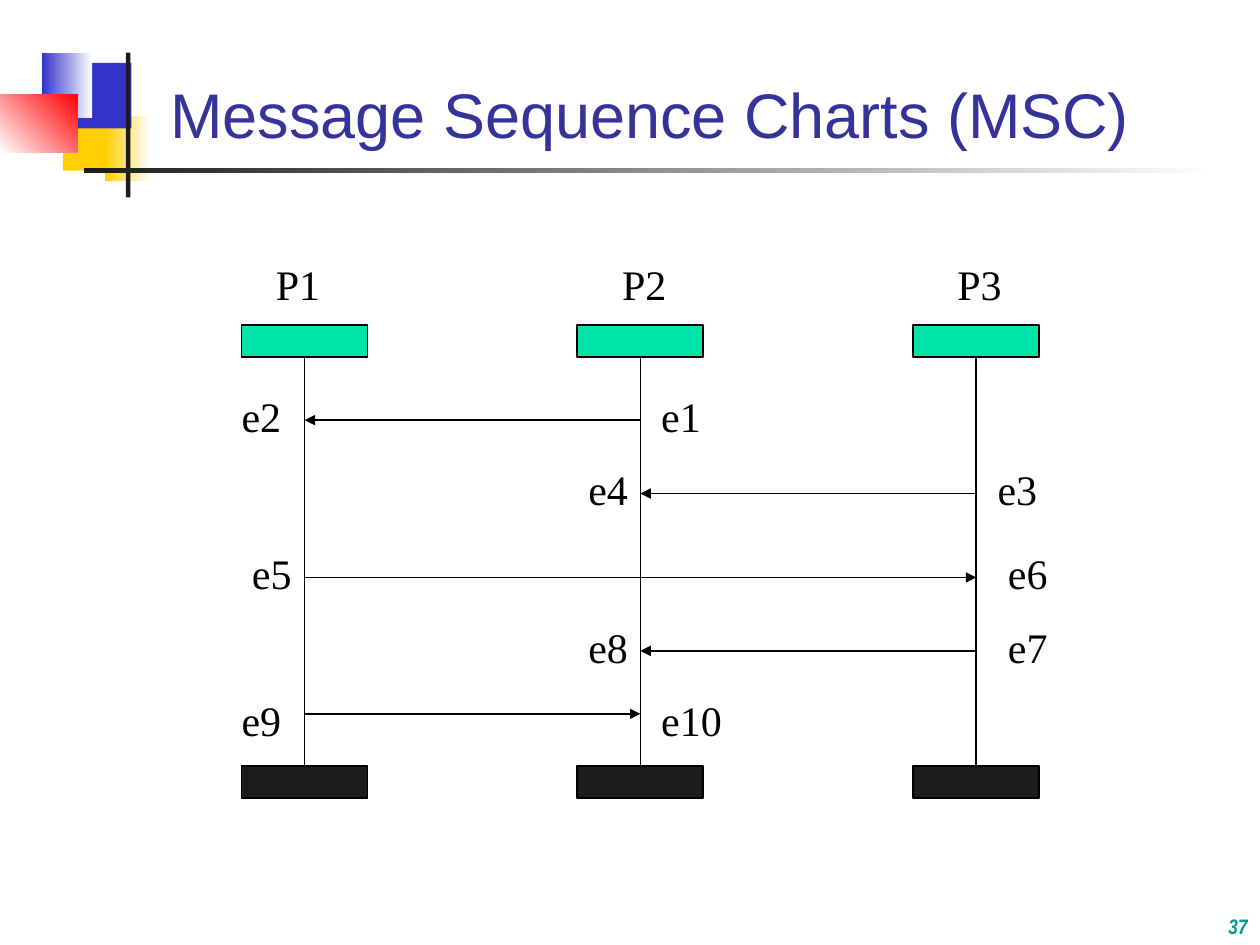
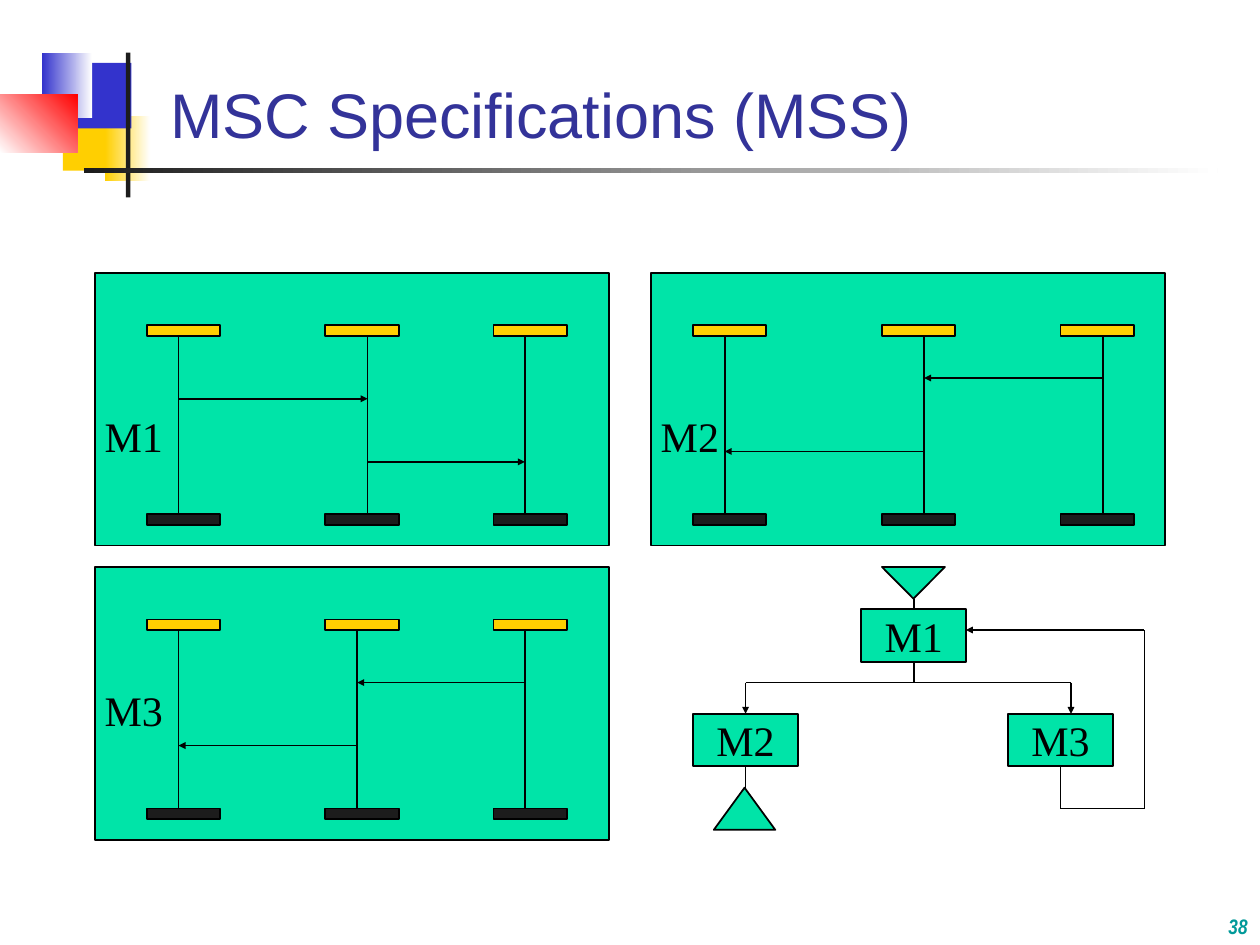
import itertools

import pptx
import pptx.dml.color
import pptx.enum.shapes
import pptx.enum.text
import pptx.oxml.ns
import pptx.util
from lxml import etree

Cm = pptx.util.Cm
RGBColor = pptx.dml.color.RGBColor
SHAPE = pptx.enum.shapes.MSO_SHAPE
ALIGN = pptx.enum.text.PP_ALIGN
ANCHOR = pptx.enum.text.MSO_ANCHOR

# Colours
BLACK = RGBColor(0x00, 0x00, 0x00)
WHITE = RGBColor(0xFF, 0xFF, 0xFF)
CHARCOAL = RGBColor(0x1C, 0x1C, 0x1C)
YELLOW = RGBColor(0xFF, 0xCF, 0x01)
BLUE = RGBColor(0x33, 0x33, 0xCC)
RED = RGBColor(0xFF, 0x00, 0x00)
GREEN = RGBColor(0x00, 0xE4, 0xA8)
TITLE_BLUE = RGBColor(0x33, 0x33, 0x99)
TEAL = RGBColor(0x00, 0x99, 0x99)


class Deck:
    """Holds the shared style and the current slide."""

    def __init__(self):
        self.prs = pptx.Presentation()
        self.prs.slide_width, self.prs.slide_height = Cm(25.4), Cm(19.05)
        self.s = None

    def new_slide(self, title, number):
        self.s = self.prs.slides.add_slide(self.prs.slide_layouts[6])
        # Corner ornament and title rule
        self.shape(1.27, 2.12, 1.23, 1.32, YELLOW, outline=False)
        self.gradient(2.12, 2.33, 0.91, 1.32, YELLOW, WHITE)
        self.shape(1.48, 1.27, 1.17, 1.32, BLUE, outline=False)
        self.gradient(0.85, 1.06, 1.01, 1.32, BLUE, WHITE)
        self.gradient(0, 1.9, 1.56, 1.18, WHITE, RED, angle=45)
        self.shape(2.54, 1.06, 0.09, 2.92, CHARCOAL, outline=False)
        self.gradient(1.69, 3.39, 22.86, 0.09, CHARCOAL, WHITE)
        # Slide number and title
        tf = self.text_box(21.17, 17.78, 4.23, 1.27, ANCHOR.BOTTOM)
        r = self.text_run(tf, str(number), 12, "Arial Narrow", TEAL, ALIGN.RIGHT)
        r.font.bold = r.font.italic = True
        tf = self.text_box(3.18, 0.85, 21.63, 2.33, ANCHOR.BOTTOM)
        self.text_run(tf, title, 36, "Arial", TITLE_BLUE)

    def shape(self, x, y, w, h, fill, kind=SHAPE.RECTANGLE, outline=True):
        sp = self.s.shapes.add_shape(kind, Cm(x), Cm(y), Cm(w), Cm(h))
        sp.shadow.inherit = False
        sp.fill.solid()
        sp.fill.fore_color.rgb = fill
        if outline:
            sp.line.color.rgb = BLACK
            sp.line.width = pptx.util.Pt(1)
        else:
            sp.line.fill.background()
        return sp

    def gradient(self, x, y, w, h, start, end, angle=0):
        sp = self.shape(x, y, w, h, start, outline=False)
        sp.fill.gradient()
        sp.fill.gradient_angle = angle
        for stop, colour in zip(sp.fill.gradient_stops, (start, end)):
            stop.color.rgb = colour

    def line(self, x1, y1, x2, y2, head=None):
        """Straight line; head is the arrowhead size at its end."""
        cx = self.s.shapes.add_connector(
            pptx.enum.shapes.MSO_CONNECTOR.STRAIGHT, Cm(x1), Cm(y1), Cm(x2), Cm(y2))
        cx.line.color.rgb = BLACK
        cx.line.width = pptx.util.Pt(1)
        props = cx.element.spPr
        if head:
            etree.SubElement(props.find(pptx.oxml.ns.qn("a:ln")),
                             pptx.oxml.ns.qn("a:tailEnd"),
                             type="triangle", w=head, len=head)
        etree.SubElement(props, pptx.oxml.ns.qn("a:effectLst"))

    def text_box(self, x, y, w, h, anchor=ANCHOR.TOP, wrap=True):
        tf = self.s.shapes.add_textbox(Cm(x), Cm(y), Cm(w), Cm(h)).text_frame
        tf.word_wrap = wrap
        tf.vertical_anchor = anchor
        return tf

    def text_run(self, tf, text, size, font, colour, align=ALIGN.LEFT):
        p = tf.paragraphs[0]
        p.alignment = align
        r = p.add_run()
        r.text = text
        r.font.size = pptx.util.Pt(size)
        r.font.name = font
        r.font.color.rgb = colour
        return r

    def label(self, text, x, y, w=1.3):
        tf = self.text_box(x, y, w, 1.27, wrap=False)
        self.text_run(tf, text, 24, "Times New Roman", BLACK)

    def node(self, text, x, y):
        tf = self.shape(x, y, 2.12, 1.06, GREEN).text_frame
        tf.word_wrap = False
        tf.vertical_anchor = ANCHOR.MIDDLE
        self.text_run(tf, text, 24, "Times New Roman", BLACK, ALIGN.CENTER)

    def process(self, bar_x, line_x, top, bar_w, bar_h, foot, fill):
        """Head bar, lifeline and foot bar of one process."""
        self.shape(bar_x, top, bar_w, bar_h, fill)
        self.shape(bar_x, foot, bar_w, bar_h, CHARCOAL)
        self.line(line_x, top + bar_h, line_x, foot)

    def panel(self, name, x, y, label_dy, bars, lifelines, messages):
        """Framed chart; messages are (sender, receiver, offset from the top)."""
        self.shape(x, y, 10.37, 5.5, GREEN)
        for bar_x, line_x in zip(bars, lifelines):
            self.process(bar_x, line_x, y + 1.06, 1.48, 0.21, y + 4.87, YELLOW)
        for sender, receiver, dy in messages:
            self.line(lifelines[sender], y + dy, lifelines[receiver], y + dy, "sm")
        self.label(name, x - 0.05, y + label_dy, 1.68)


def sequence_chart(deck):
    deck.new_slide("Message Sequence Charts (MSC)", 37)
    lifelines = [6.14 + 6.77 * i for i in range(3)]
    for name, label_x, x in zip(("P1", "P2", "P3"), (5.31, 12.29, 19.05), lifelines):
        deck.process(x - 1.27, x, 6.56, 2.54, 0.64, 15.45, GREEN)
        deck.label(name, label_x, 5.08, 1.4)

    # Messages: sender, receiver, line y, label y, then (event, x) at each end
    messages = [
        (1, 0, 8.47, 7.75, ("e1", 13.08), ("e2", 4.62)),
        (2, 1, 9.95, 9.22, ("e3", 19.86), ("e4", 11.61)),
        (0, 2, 11.64, 10.92, ("e5", 4.83), ("e6", 20.07)),
        (2, 1, 13.12, 12.4, ("e7", 20.07), ("e8", 11.61)),
        (0, 1, 14.39, 13.87, ("e9", 4.62), ("e10", 13.08)),
    ]
    for sender, receiver, y, label_y, *events in messages:
        deck.line(lifelines[sender], y, lifelines[receiver], y, "med")
        for event, x in events:
            deck.label(event, x, label_y, 1.73 if len(event) > 2 else 1.3)


def specifications(deck):
    deck.new_slide("MSC Specifications (MSS)", 38)
    # Charts
    left_bars = (2.96, 6.56, 9.95)
    deck.panel("M1", 1.91, 5.5, 2.65, left_bars, (3.6, 7.41, 10.58),
               [(0, 1, 2.54), (1, 2, 3.81)])
    deck.panel("M2", 13.12, 5.5, 2.65, (13.97, 17.78, 21.38), (14.61, 18.63, 22.23),
               [(2, 1, 2.12), (1, 0, 3.6)])
    deck.panel("M3", 1.91, 11.43, 2.24, left_bars, (3.6, 7.2, 10.58),
               [(2, 1, 2.33), (1, 0, 3.6)])

    # Graph of charts: start, end and nodes
    deck.shape(17.78, 11.43, 1.27, 0.64, GREEN, SHAPE.FLOWCHART_MERGE)
    deck.shape(14.39, 15.88, 1.24, 0.85, GREEN, SHAPE.ISOSCELES_TRIANGLE)
    for name, x, y in (("M1", 17.36, 12.28), ("M2", 13.97, 14.39), ("M3", 20.32, 14.39)):
        deck.node(name, x, y)

    # Branches
    deck.line(18.42, 12.07, 18.42, 12.28)
    deck.line(18.42, 13.34, 18.42, 13.76)
    deck.line(15.03, 13.76, 21.59, 13.76)
    for x in (15.03, 21.59):
        deck.line(x, 13.76, x, 14.39, "sm")
    deck.line(15.03, 15.88, 15.03, 15.45)

    # Loop from M3 back to M1
    loop = [(21.38, 15.45), (21.38, 16.3), (23.07, 16.3), (23.07, 12.7), (19.47, 12.7)]
    for start, end in itertools.pairwise(loop):
        deck.line(*start, *end, "sm" if end == loop[-1] else None)


def main():
    deck = Deck()
    sequence_chart(deck)
    specifications(deck)
    deck.prs.save("out.pptx")


if __name__ == "__main__":
    main()
